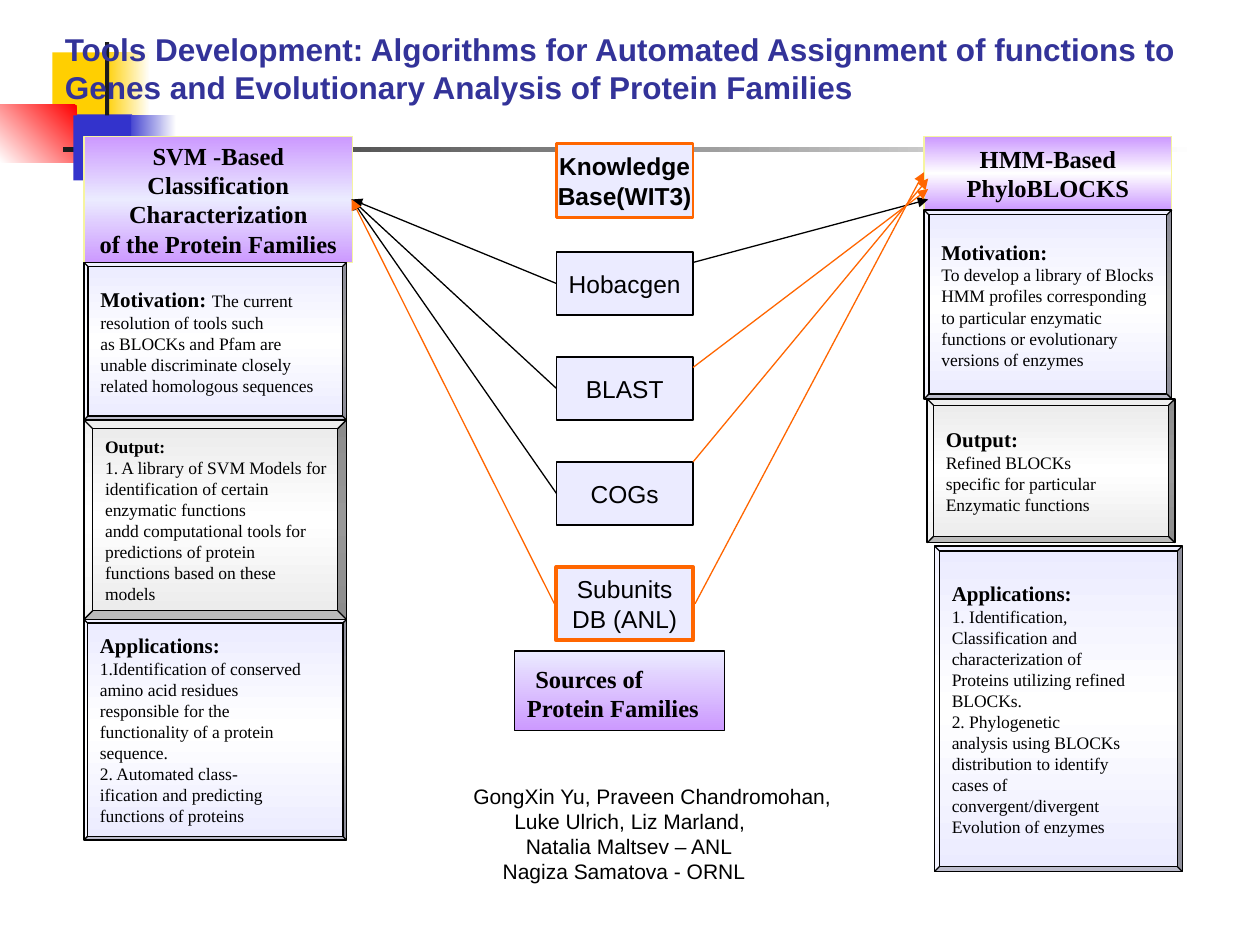
import copy

import lxml.etree
import pptx
import pptx.dml.color
import pptx.enum.shapes
import pptx.enum.text
import pptx.oxml.ns
import pptx.util

COLORS = {
    "ink": "000000", "title": "333399", "pale": "EBEBFF", "white": "FFFFFF",
    "grey": "EAEAEA", "violet": "CC99FF", "orange": "FF6600", "cream": "F6F4A0",
    "yellow": "FFCF01", "blue": "3333CC", "red": "FF0000", "dark": "1C1C1C",
}
SANS, SERIF = "Arial", "Times New Roman"
SHAPE = pptx.enum.shapes.MSO_SHAPE
ALIGN = pptx.enum.text.PP_ALIGN
ANCHOR = pptx.enum.text.MSO_ANCHOR


def rgb(name):
    """Return the named palette colour."""
    return pptx.dml.color.RGBColor.from_string(COLORS[name])


def grid(units):
    """Turn grid columns or rows, twelve to the inch, into a length."""
    return pptx.util.Inches(units / 12)


class Board:
    """Draw styled elements on one slide, placed by grid cells."""

    def __init__(self, slide):
        """Keep the slide to draw on."""
        self.slide = slide

    def paint(self, shape, tones, angle):
        """Fill a shape with one tone or an even gradient of several."""
        if len(tones) == 1:
            shape.fill.solid()
            shape.fill.fore_color.rgb = rgb(tones[0])
            return
        shape.fill.gradient()
        shape.fill.gradient_angle = 360 - angle
        stops = next(shape._element.iter(pptx.oxml.ns.qn("a:gsLst")))
        for _ in tones[2:]:
            stops.append(copy.deepcopy(stops[0]))
        for index, (stop, tone) in enumerate(zip(shape.fill.gradient_stops, tones)):
            stop.color.rgb = rgb(tone)
            stop.position = index / (len(tones) - 1)

    def block(self, cell, tones, angle=90, edge=None, weight=0.75, form=SHAPE.RECTANGLE):
        """Add a preset shape with its fill and outline."""
        shape = self.slide.shapes.add_shape(form, *map(grid, cell))
        shape.shadow.inherit = False
        self.paint(shape, tones, angle)
        if edge:
            shape.line.color.rgb = rgb(edge)
            shape.line.width = pptx.util.Pt(weight)
        else:
            shape.line.fill.background()
        return shape

    def style(self, run, size, font, bold=False, tone="ink"):
        """Format one run."""
        run.font.size = pptx.util.Pt(size)
        run.font.name = font
        run.font.bold = bold
        run.font.color.rgb = rgb(tone)

    def label(self, shape, lines, size, font, bold=False, tone="ink",
              align=ALIGN.LEFT, anchor=ANCHOR.MIDDLE, wrap=False):
        """Set one paragraph per line in a shape."""
        frame = shape.text_frame
        frame.text = "\n".join(lines)
        frame.word_wrap = wrap
        frame.vertical_anchor = anchor
        for paragraph in frame.paragraphs:
            paragraph.alignment = align
            for run in paragraph.runs:
                self.style(run, size, font, bold, tone)
        return frame

    def source(self, row, height, lines, edge="ink", weight=0.75, bold=False):
        """Add a centred box for one data source."""
        shape = self.block((53, row, 13, height), ["pale"], edge=edge, weight=weight)
        self.label(shape, lines, 14, SANS, bold, align=ALIGN.CENTER)

    def header(self, cell, middle, lines):
        """Add the heading box of a side column."""
        shape = self.block(cell, ["violet", middle, "violet"], edge="cream")
        self.label(shape, lines, 14, SERIF, True, align=ALIGN.CENTER)

    def panel(self, cell, tone, depth, heading, lines, size=12, lead=""):
        """Add a bevelled panel with a bold heading and an optional lead-in."""
        shape = self.block(cell, [tone, "white", tone], edge="ink", form=SHAPE.BEVEL)
        shape.adjustments[0] = depth
        frame = self.label(shape, [heading] + lines, 10, SERIF)
        opening = frame.paragraphs[0]
        self.style(opening.runs[0], size, SERIF, True)
        if lead:
            run = opening.add_run()
            run.text = lead
            self.style(run, 10, SERIF)

    def arrow(self, start, end, tone):
        """Add a straight arrow."""
        link = self.slide.shapes.add_connector(
            pptx.enum.shapes.MSO_CONNECTOR.STRAIGHT, *map(grid, start + end))
        link.line.color.rgb = rgb(tone)
        link.line.width = pptx.util.Pt(0.75)
        qn = pptx.oxml.ns.qn
        outline = next(link._element.iter(qn("a:ln")))
        lxml.etree.SubElement(outline, qn("a:tailEnd"), type="triangle")
        lxml.etree.SubElement(link._element.spPr, qn("a:effectLst"))

    def title(self, cell, wording):
        """Add the slide title."""
        box = self.slide.shapes.add_textbox(*map(grid, cell))
        self.label(box, [wording], 18, SANS, True, "title", anchor=ANCHOR.TOP, wrap=True)


def main():
    """Build the slide and save it."""
    deck = pptx.Presentation()
    deck.slide_width, deck.slide_height = grid(120), grid(90)
    board = Board(deck.slides.add_slide(deck.slide_layouts[6]))

    for cell, tones, angle in [
        ((5, 5, 5.8, 6.2), ["yellow"], 0),
        ((10, 5, 4.3, 6.2), ["white", "yellow"], 180),
        ((7.1, 10.9, 5.5, 6.2), ["blue"], 0),
        ((12, 11, 4.8, 6.2), ["white", "blue"], 180),
        ((0, 10, 7.3, 5.5), ["red", "white"], 135),
        ((10, 4, 0.4, 13.8), ["dark"], 0),
        ((6, 14, 108, 0.5), ["white", "dark"], 180),
        ((7, 11, 5.5, 6.2), ["blue"], 0),
    ]:
        board.block(cell, tones, angle)

    board.source(13.7, 7, ["Knowledge", "Base(WIT3)"], "orange", 1.5, True)
    board.source(54, 7, ["Subunits", "DB (ANL)"], "orange", 2.25)
    for step, database in enumerate(["Hobacgen", "BLAST", "COGs"]):
        board.source(24 + 10 * step, 6, [database])

    board.header((88, 13, 23.6, 7), "white", ["HMM-Based", "PhyloBLOCKS"])
    families = board.block((49, 62, 20, 7.6), ["pale", "violet"], edge="ink")
    caption = board.label(families, ["Sources of Protein Families"], 14, SERIF, True,
                          anchor=ANCHOR.TOP, wrap=True)
    caption.margin_top = grid(1.2)
    caption.paragraphs[0]._p.get_or_add_pPr().set("indent", str(grid(0.8)))

    for start, end, tone in [
        ((66, 25), (88.4, 19), "ink"), ((66, 35), (88.4, 18), "orange"),
        ((66, 44), (88.4, 17), "orange"), ((66.2, 57.5), (88, 16.4), "orange"),
    ]:
        board.arrow(start, end, tone)
    board.header((8, 13, 25.6, 12), "pale", [
        "SVM -Based", "Classification", "Characterization", "of the Protein Families"])
    for step in range(3):
        board.arrow((53, 27 + 10 * step), (33.5, 19), "ink")
    board.arrow((52.8, 57.5), (33.5, 19), "orange")

    board.panel((8, 25, 25, 15), "pale", 0.026, "Motivation: ", [
        "resolution of tools such", "as BLOCKs and Pfam are",
        "unable discriminate closely", "related homologous sequences"], lead="The current")
    board.panel((88, 20, 23.6, 18), "pale", 0.026, "Motivation:", [
        "To develop a library of Blocks", "HMM profiles corresponding",
        "to particular enzymatic", "functions or evolutionary", "versions of enzymes"])
    board.panel((8, 40, 25, 19), "grey", 0.044, "Output:", [
        "1. A library of SVM Models for", "identification of certain", "enzymatic functions",
        "andd computational tools for", "predictions of protein",
        "functions based on these", "models"], size=10)
    board.panel((8, 59, 25, 21), "pale", 0.016, "Applications:", [
        "1.Identification of conserved", "amino acid residues", "responsible for the",
        "functionality of a protein", "sequence.", "2. Automated class-",
        "ification and predicting", "functions of proteins"])
    board.panel((89, 52, 23.6, 31), "pale", 0.02, "Applications:", [
        "1. Identification,", "Classification and", "characterization of",
        "Proteins utilizing refined", "BLOCKs.", "2. Phylogenetic",
        "analysis using BLOCKs", "distribution to identify", "cases of",
        "convergent/divergent", "Evolution of enzymes"])
    board.panel((88.3, 38, 23.6, 13.7), "grey", 0.044, "Output:", [
        "Refined BLOCKs", "specific for particular", "Enzymatic functions"])

    board.title((5, 2.3, 112, 8.4), "Tools Development: Algorithms for Automated Assignment "
                "of functions to Genes and Evolutionary Analysis of Protein Families")
    authors = board.label(board.block((43.9, 74, 37.7, 10.8), ["white"]), [
        "GongXin Yu, Praveen Chandromohan,", "Luke Ulrich, Liz Marland,",
        "Natalia Maltsev – ANL", "Nagiza Samatova - ORNL"], 12, SANS, anchor=ANCHOR.TOP)
    for paragraph, inset in zip(authors.paragraphs, [0, 3.9, 5, 2.8]):
        paragraph._p.get_or_add_pPr().set("marL", str(grid(inset)))

    deck.save("out.pptx")


if __name__ == "__main__":
    main()
